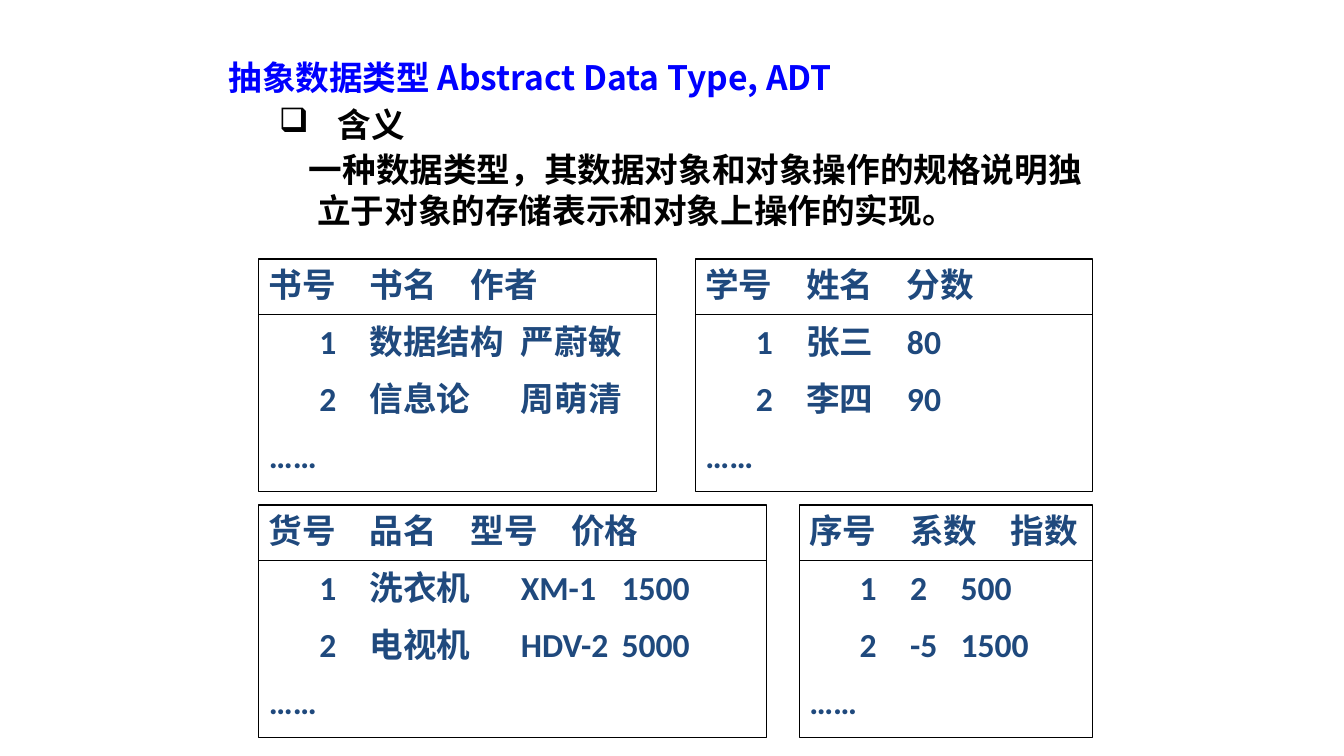
from lxml import etree
from pptx import Presentation
from pptx import util as u
from pptx.dml.color import RGBColor
from pptx.enum import shapes, text
from pptx.oxml import ns

Pt = u.Pt
BLUE = RGBColor(0x00, 0x00, 0xFF)
NAVY = RGBColor(0x1F, 0x49, 0x7D)
BLACK = RGBColor(0x00, 0x00, 0x00)
WHITE = RGBColor(0xFF, 0xFF, 0xFF)

FONT_SIZE = 24
LEFT, RIGHT = 185, 780.5
TOPS = (185, 360.7)
RECORD_HEIGHT, HEADER_HEIGHT = 166.3, 39.6
ROW_START = 11
ELLIPSIS = [(0, "……")]

# Each record: left, top, width, lines of (offset from the text edge, entry)
BOOKS = (LEFT, TOPS[0], 283.7, [
    [(0, "书号"), (72, "书名"), (192, "作者")],
    [(ROW_START, "1"), (76.5, "数据结构"), (196, "严蔚敏")],
    [(ROW_START, "2"), (76.5, "信息论"), (196, "周萌清")],
    ELLIPSIS])
STUDENTS = (RIGHT - 283.7, TOPS[0], 283.7, [
    [(0, "学号"), (96.5, "姓名"), (192, "分数")],
    [(ROW_START, "1"), (101, "张三"), (202.5, "80")],
    [(ROW_START, "2"), (101, "李四"), (202.5, "90")],
    ELLIPSIS])
GOODS = (LEFT, TOPS[1], 362.9, [
    [(0, "货号"), (72, "品名"), (168, "型号"), (264, "价格")],
    [(ROW_START, "1"), (76.5, "洗衣机"), (178, "XM-1"), (278.5, "1500")],
    [(ROW_START, "2"), (76.5, "电视机"), (178, "HDV-2"), (276, "5000")],
    ELLIPSIS])
TERMS = (RIGHT - 209.5, TOPS[1], 209.5, [
    [(0, "序号"), (53.5, "系数"), (107, "指数")],
    [(ROW_START, "1"), (66, "2"), (100, "500")],
    [(ROW_START, "2"), (60.5, "-5"), (116, "1500")],
    ELLIPSIS])


def add_child(parent, tag, **attributes):
    return etree.SubElement(parent, ns.qn(tag), attributes)


def add_line(frame, words, font, color, before=0, margin=0, indent=0):
    """Write one paragraph, filling the frame's first one if it is empty."""
    line = frame.paragraphs[0]
    if line.runs:
        line = frame.add_paragraph()
    line.alignment = text.PP_ALIGN.LEFT
    line.space_before = Pt(before)
    properties = line._p.get_or_add_pPr()
    properties.set("marL", str(Pt(margin)))
    properties.set("indent", str(Pt(indent)))
    run = line.add_run()
    run.text = words
    run.font.name = font
    run.font.size = Pt(FONT_SIZE)
    run.font.bold = True
    run.font.color.rgb = color
    return line


def add_text_frame(slide, left, top, width, height):
    frame = slide.shapes.add_textbox(
        Pt(left), Pt(top), Pt(width), Pt(height)).text_frame
    frame.word_wrap = True
    return frame


def set_bullet(line, mark):
    properties = line._p.get_or_add_pPr()
    color = add_child(properties, "a:buClr")
    add_child(color, "a:srgbClr", val=str(BLACK))
    add_child(properties, "a:buChar", char=mark)


def add_entries(frame, entries):
    """Write one record line, each entry starting at its own tab stop."""
    words = "\t".join(entry for _, entry in entries)
    stops = [offset for offset, _ in entries]
    if stops[0]:
        words = "\t" + words
    else:
        stops = stops[1:]
    line = add_line(frame, words, "Calibri", NAVY, before=FONT_SIZE / 2)
    if stops:
        tabs = add_child(line._p.get_or_add_pPr(), "a:tabLst")
        for stop in stops:
            add_child(tabs, "a:tab", pos=str(Pt(stop)), algn="l")


def add_record(slide, left, top, width, lines):
    group = slide.shapes.add_group_shape()
    box = group.shapes.add_shape(
        shapes.MSO_SHAPE.RECTANGLE,
        Pt(left), Pt(top), Pt(width), Pt(RECORD_HEIGHT))
    box.shadow.inherit = False
    box.fill.solid()
    box.fill.fore_color.rgb = WHITE
    box.line.color.rgb = BLACK
    box.line.width = Pt(0.75)
    frame = box.text_frame
    frame.word_wrap = True
    frame.vertical_anchor = text.MSO_ANCHOR.TOP
    for entries in lines:
        add_entries(frame, entries)

    # Rule below the header
    rule_y = Pt(top + HEADER_HEIGHT)
    rule = group.shapes.add_connector(
        shapes.MSO_CONNECTOR.STRAIGHT,
        Pt(left), rule_y, Pt(left + width), rule_y)
    rule.line.color.rgb = BLACK
    rule.line.width = Pt(0.75)
    add_child(rule._element.spPr, "a:effectLst")


def main():
    deck = Presentation()
    deck.slide_width, deck.slide_height = Pt(960), Pt(540)
    slide = deck.slides.add_slide(deck.slide_layouts[6])

    # Title and subheading
    heading = add_text_frame(slide, 156.2, 37.4, 637.2, 280)
    title = add_line(heading, "抽象数据类型 Abstract Data Type, ADT",
                     "Noto Sans CJK SC", BLUE, 4.8, 36, -36)
    meaning = add_line(heading, "含义", "Calibri", BLACK, 4.8, 77.8, -41.8)
    for line in (title, meaning):
        line.alignment = text.PP_ALIGN.JUSTIFY
    set_bullet(meaning, "❑")

    # Example records
    for record in (BOOKS, STUDENTS, GOODS, TERMS):
        add_record(slide, *record)

    # Definition
    definition = add_text_frame(slide, 165.6, 103, 674.6, 65.5)
    add_line(definition, "一种数据类型，其数据对象和对象操作的规格说明独",
             "Times New Roman", BLACK, margin=48)
    add_line(definition, "立于对象的存储表示和对象上操作的实现。",
             "Times New Roman", BLACK, margin=54)

    deck.save("out.pptx")


main()
